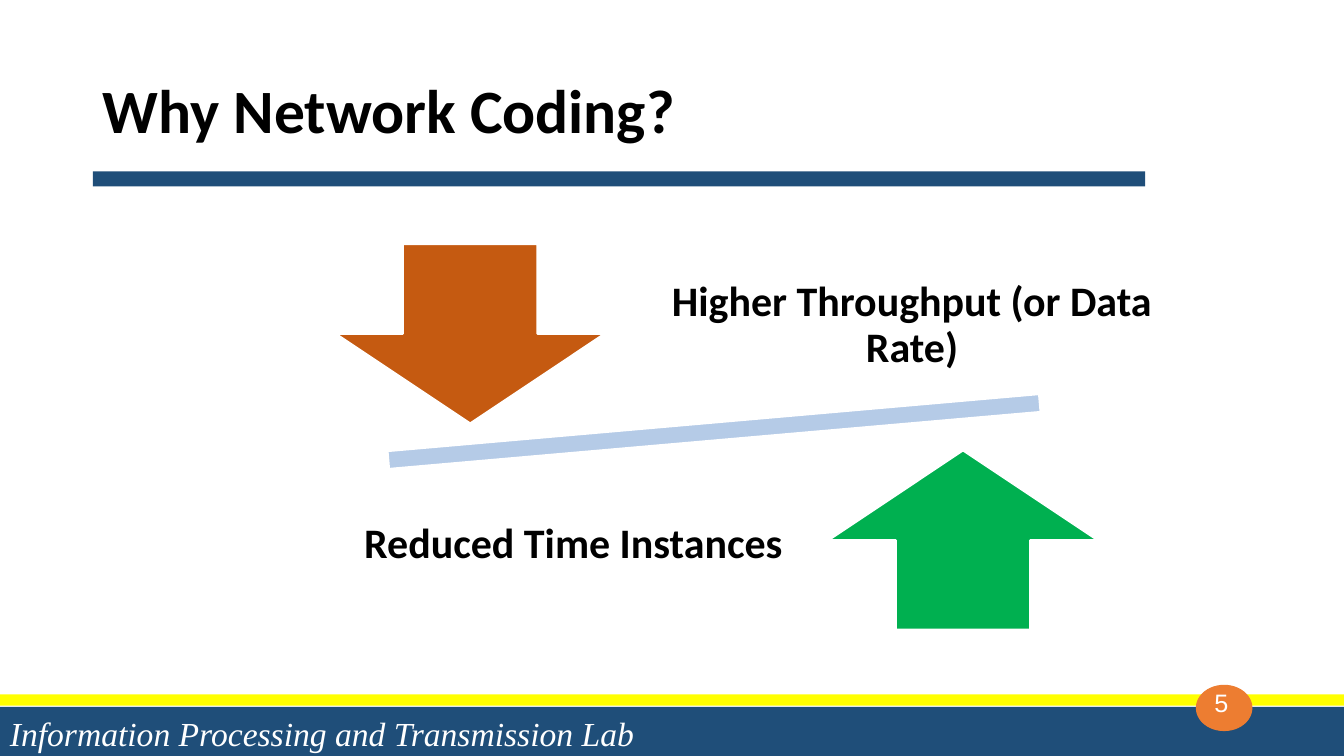
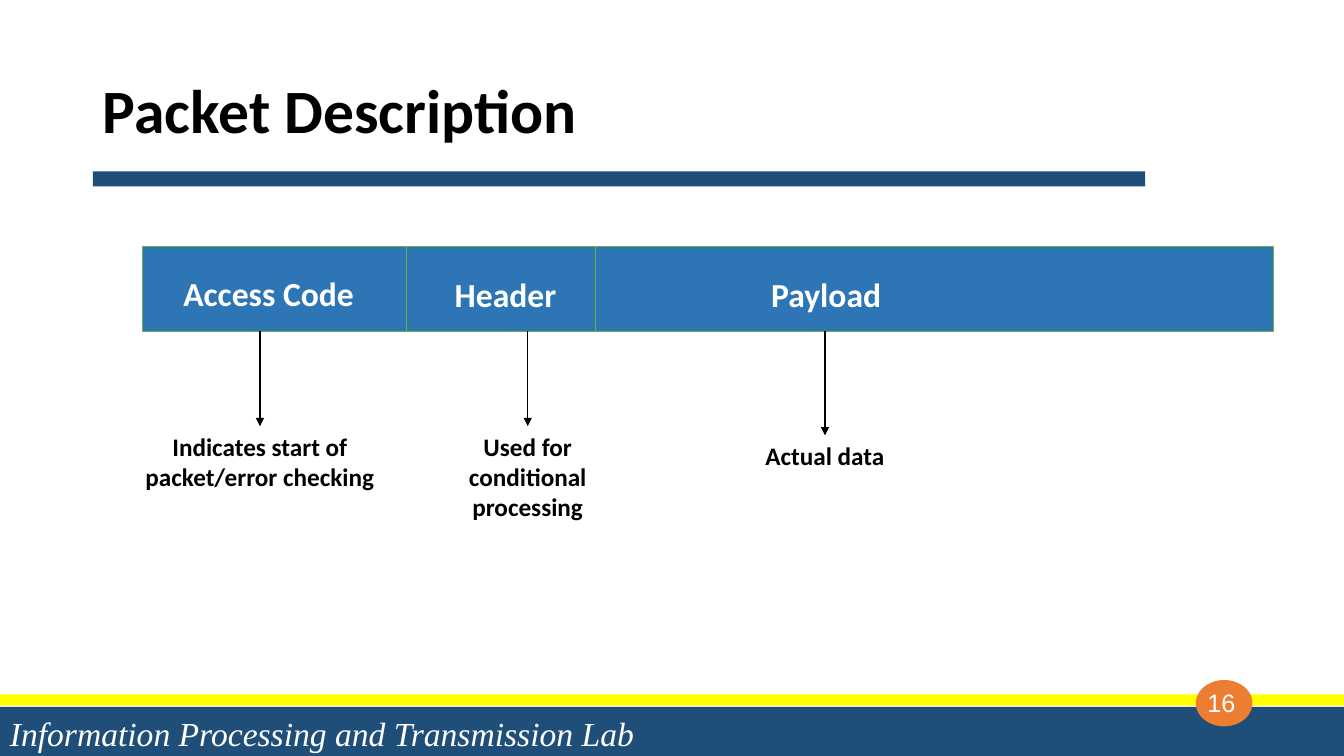
"""Build two slides on network coding: the reason for it and the packet layout."""
import dataclasses

import lxml.etree
import pptx
import pptx.dml.color
import pptx.enum.shapes
import pptx.enum.text
import pptx.oxml.ns
import pptx.util


@dataclasses.dataclass(frozen=True)
class Theme:
    navy: str = "1F4E79"
    yellow: str = "FFFF00"
    orange: str = "ED7D31"
    rust: str = "C55A11"
    green: str = "00B050"
    pale: str = "B5CBE7"
    blue: str = "2E75B6"
    leaf: str = "70AD47"
    black: str = "000000"
    white: str = "FFFFFF"
    sans: str = "Calibri"
    serif: str = "Times New Roman"
    plain: str = "Arial"
    head: int = 44
    claim: int = 30
    label: int = 24
    note: int = 18


theme = Theme()
Cm, Pt = pptx.util.Cm, pptx.util.Pt
tint = pptx.dml.color.RGBColor.from_string
kinds = pptx.enum.shapes.MSO_SHAPE
align = pptx.enum.text.PP_ALIGN
anchor = pptx.enum.text.MSO_ANCHOR
straight = pptx.enum.shapes.MSO_CONNECTOR.STRAIGHT


def draw(page, kind, spot, fill, edge=None, weight=1.5):
    shape = page.shapes.add_shape(kind, *map(Cm, spot))
    shape.shadow.inherit = False
    shape.fill.solid()
    shape.fill.fore_color.rgb = tint(fill)
    if edge:
        shape.line.color.rgb = tint(edge)
        shape.line.width = Pt(weight)
    else:
        shape.line.fill.background()
    return shape


def write(shape, text, size, face=theme.sans, color=theme.black, bold=True,
          italic=False, side=align.CENTER, hold=anchor.TOP, gap=None, inset=None):
    frame = shape.text_frame
    frame.word_wrap = True
    frame.auto_size = pptx.enum.text.MSO_AUTO_SIZE.NONE
    frame.vertical_anchor = hold
    if inset is not None:
        frame.margin_left = frame.margin_right = Cm(inset)
        frame.margin_top = frame.margin_bottom = Cm(inset)
    para = frame.paragraphs[0]
    para.alignment = side
    para.line_spacing = gap
    run = para.add_run()
    run.text = text
    run.font.size = Pt(size)
    run.font.name = face
    run.font.color.rgb = tint(color)
    run.font.bold = bold
    run.font.italic = italic
    return shape


deck = pptx.Presentation()
deck.slide_width, deck.slide_height = Cm(33.87), Cm(19.05)
bands = [
    ((0, 17.81, 33.87, 1.24), theme.navy),
    ((0, 17.5, 33.87, 0.28), theme.yellow),
    ((2.34, 4.32, 26.52, 0.38), theme.navy),
]
pages = []
for title, number, top in [("Why Network Coding?", "5", 17.27),
                           ("Packet Description", "16", 17.15)]:
    page = deck.slides.add_slide(deck.slide_layouts[5])
    head = page.shapes.title
    head.left, head.top, head.width, head.height = map(Cm, (2.34, 1.02, 26.52, 3.68))
    write(head, title, theme.head, side=align.LEFT, hold=anchor.MIDDLE, gap=0.9)
    for spot, fill in bands:
        draw(page, kinds.RECTANGLE, spot, fill)
    draw(page, kinds.OVAL, (30.15, top, 1.4, 1.14), theme.orange, theme.orange, 0.75)
    write(page.shapes.add_textbox(*map(Cm, (0, 17.91, 33.32, 1.14))),
          "Information Processing and Transmission Lab", theme.label, face=theme.serif,
          color=theme.white, bold=False, italic=True, side=align.LEFT, hold=anchor.MIDDLE)
    write(page.shapes.add_textbox(*map(Cm, (26.97, 17.2, 7.62, 1.02))), number, theme.note,
          face=theme.plain, color=theme.white, bold=False, hold=anchor.MIDDLE)
    pages.append(page)
why, packet = pages

draw(why, kinds.DOWN_ARROW, (8.46, 6.15, 6.78, 4.52), theme.rust, theme.white)
draw(why, kinds.UP_ARROW, (20.88, 11.35, 6.78, 4.52), theme.green, theme.white)
beam = draw(why, kinds.MATH_MINUS, (6.78, 9.91, 22.43, 1.93), theme.pale, theme.white)
beam.rotation = 355
for text, spot in [("Higher Throughput (or Data Rate)", (16.33, 5.84, 13.31, 4.75)),
                   ("Reduced Time Instances", (8.31, 11.35, 12.29, 4.75))]:
    write(why.shapes.add_textbox(*map(Cm, spot)), text, theme.claim,
          hold=anchor.MIDDLE, gap=0.9, inset=0.58)

roof, foot = 6.22, 8.35
draw(packet, kinds.RECTANGLE, (3.58, roof, 28.5, foot - roof), theme.blue, theme.leaf, 0.5)
lines = []
for x in (10.24, 15.01):
    line = packet.shapes.add_connector(straight, Cm(x), Cm(roof), Cm(x), Cm(foot))
    lines.append((line, theme.leaf, 0.5, False))

fields = [
    ("Access Code", (3.81, 6.76, 5.92, 1.27),
     "Indicates start of packet/error checking", (3.22, 10.74, 6.66, 1.8)),
    ("Header", (10.44, 6.78, 4.6, 1.27),
     "Used for conditional processing", (10.44, 10.74, 5.72, 2.57)),
    ("Payload", (18.52, 6.78, 4.6, 1.27),
     "Actual data", (17.93, 10.97, 5.72, 1.02)),
]
for name, spot, text, place in fields:
    write(packet.shapes.add_textbox(*map(Cm, spot)), name, theme.label, color=theme.white)
    note = write(packet.shapes.add_textbox(*map(Cm, place)), text, theme.note)
    x = note.left + note.width // 2
    line = packet.shapes.add_connector(straight, x, Cm(foot), x, note.top)
    line.end_connect(note, 0)
    lines.append((line, theme.black, 1, True))

for line, color, weight, tip in lines:
    line.line.color.rgb = tint(color)
    line.line.width = Pt(weight)
    if tip:
        lxml.etree.SubElement(line.line._get_or_add_ln(),
                              pptx.oxml.ns.qn("a:tailEnd"), type="triangle")
    lxml.etree.SubElement(line.element.spPr, pptx.oxml.ns.qn("a:effectLst"))

deck.save("out.pptx")
